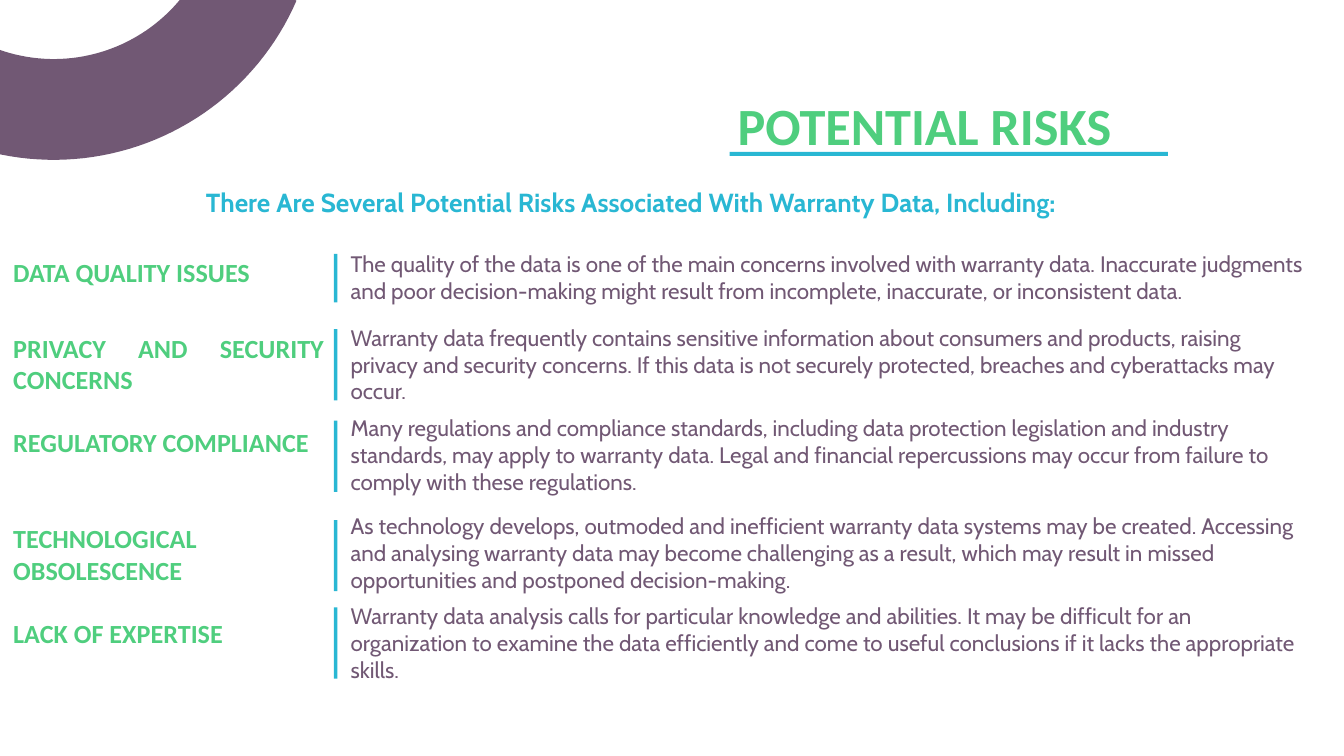
"""Builds the potential risks slide on a square grid, one hundred columns wide."""
from dataclasses import dataclass
from math import cos, radians, sin
from typing import NamedTuple

from pptx import Presentation
from pptx.dml.color import RGBColor as Rgb
from pptx.enum.shapes import MSO_SHAPE as Kind
from pptx.enum.text import PP_ALIGN as Align
from pptx.util import Inches, Pt

WIDE = Inches(10)
COLS, ROWS = 100, 56.25
CELL = WIDE / COLS


class Box(NamedTuple):
    col: float
    row: float
    wide: float
    high: float

    def emu(self) -> list[int]:
        return [round(side * CELL) for side in self]


class Style(NamedTuple):
    font: str
    size: int
    color: Rgb
    bold: bool = True
    align: Align = Align.LEFT
    after: int = 0


@dataclass(frozen=True)
class Theme:
    plum: Rgb = Rgb.from_string("715874")
    green: Rgb = Rgb.from_string("4FCE7E")
    blue: Rgb = Rgb.from_string("29B7D3")
    head: str = "Calibri"
    text: str = "Cabin"

    @property
    def title(self) -> Style:
        return Style(self.head, 28, self.green, align=Align.JUSTIFY)

    @property
    def lead(self) -> Style:
        return Style(self.text, 14, self.blue, after=16)

    @property
    def label(self) -> Style:
        return Style(self.head, 14, self.green, align=Align.JUSTIFY)

    @property
    def body(self) -> Style:
        return Style(self.text, 12, self.plum, bold=False, after=16)


class Risk(NamedTuple):
    name: str
    name_row: float
    text: str
    text_row: float
    bar_row: float
    bar_high: float = 5.3
    name_wide: float = 25.1
    name_high: float = 5.9
    text_high: float = 7


RISKS = [
    Risk("DATA QUALITY ISSUES", 18.1,
         "The quality of the data is one of the main concerns involved with warranty data. "
         "Inaccurate judgments and poor decision-making might result from incomplete, "
         "inaccurate, or inconsistent data.", 17.6, 18.9, 3.6, 22.3, 3.7, 4.7),
    Risk("PRIVACY AND SECURITY CONCERNS", 23.7,
         "Warranty data frequently contains sensitive information about consumers and "
         "products, raising privacy and security concerns. If this data is not securely "
         "protected, breaches and cyberattacks may occur.", 23.1, 24.5),
    Risk("REGULATORY COMPLIANCE", 30.7,
         "Many regulations and compliance standards, including data protection legislation "
         "and industry standards, may apply to warranty data. Legal and financial "
         "repercussions may occur from failure to comply with these regulations.", 29.8, 31.3),
    Risk("TECHNOLOGICAL OBSOLESCENCE", 37.9,
         "As technology develops, outmoded and inefficient warranty data systems may be "
         "created. Accessing and analysing warranty data may become challenging as a result, "
         "which may result in missed opportunities and postponed decision-making.", 37.1, 38.7),
    Risk("LACK OF EXPERTISE", 44.9,
         "Warranty data analysis calls for particular knowledge and abilities. It may be "
         "difficult for an organization to examine the data efficiently and come to useful "
         "conclusions if it lacks the appropriate skills.", 43.8, 45.2,
         name_wide=22.3, name_high=5.1),
]


def paint(shape, color: Rgb) -> None:
    shape.shadow.inherit = False
    shape.fill.solid()
    shape.fill.fore_color.rgb = color
    shape.line.fill.background()


def write(slide, box: Box, text: str, style: Style) -> None:
    frame = slide.shapes.add_textbox(*box.emu()).text_frame
    frame.word_wrap = True
    frame.margin_left = frame.margin_right = Inches(0.1)
    frame.margin_top = frame.margin_bottom = Inches(0.1)
    frame.text = text
    para = frame.paragraphs[0]
    para.alignment = style.align
    para.space_after = Pt(style.after)
    font = para.runs[0].font
    font.name, font.size, font.bold = style.font, Pt(style.size), style.bold
    font.color.rgb = style.color


def draw_bar(slide, box: Box, color: Rgb) -> None:
    paint(slide.shapes.add_shape(Kind.RECTANGLE, *box.emu()), color)


def draw_ring(slide, col: float, row: float, outer: float, inner: float, color: Rgb) -> None:
    def arc(reach: float) -> list[tuple[float, float]]:
        turns = [radians(23.5 + 2 * step) for step in range(46)]
        return [((col + reach * cos(turn)) * CELL, (row + reach * sin(turn)) * CELL)
                for turn in turns]

    first, *rest = arc(outer) + arc(inner)[::-1]
    path = slide.shapes.build_freeform(*first)
    path.add_line_segments(rest, close=True)
    paint(path.convert_to_shape(), color)


def draw_risk(slide, risk: Risk, theme: Theme) -> None:
    write(slide, Box(0, risk.name_row, risk.name_wide, risk.name_high), risk.name, theme.label)
    write(slide, Box(25.1, risk.text_row, 73.1, risk.text_high), risk.text, theme.body)
    draw_bar(slide, Box(24.85, risk.bar_row, 0.25, risk.bar_high), theme.blue)


def main() -> None:
    theme = Theme()
    deck = Presentation()
    deck.slide_width, deck.slide_height = WIDE, round(ROWS * CELL)
    slide = deck.slides.add_slide(deck.slide_layouts[6])
    draw_ring(slide, 4, -7.8, 19.7, 12.2, theme.plum)
    write(slide, Box(53.9, 5.9, 38.2, 10.8), "POTENTIAL RISKS", theme.title)
    write(slide, Box(13.9, 12.9, 77.1, 4.7),
          " There Are Several Potential Risks Associated With Warranty Data, Including:",
          theme.lead)
    draw_bar(slide, Box(54.3, 11.3, 32.6, 0.3), theme.blue)
    for risk in RISKS:
        draw_risk(slide, risk, theme)
    deck.save("out.pptx")


if __name__ == "__main__":
    main()
